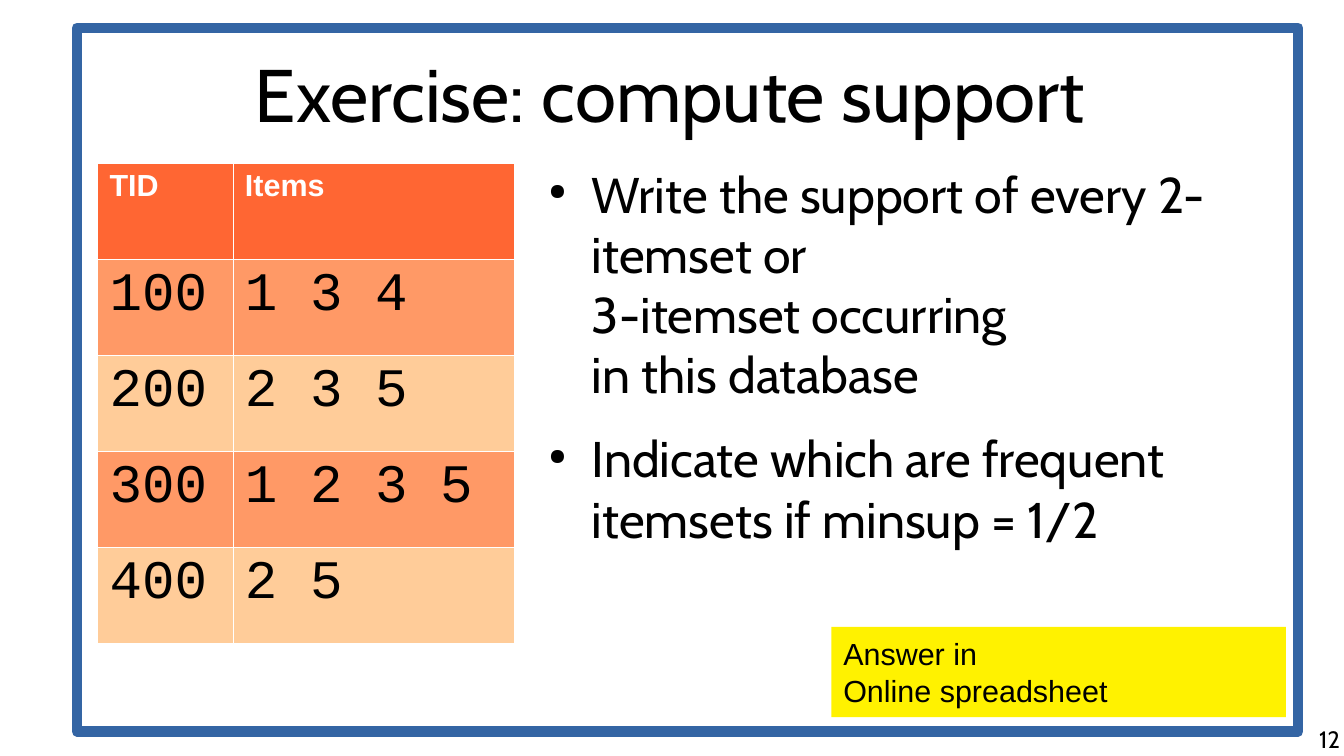
"""Build the slide with the exercise on computing itemset support."""
from lxml.etree import SubElement
from pptx import Presentation
from pptx.dml.color import RGBColor
from pptx.enum.shapes import MSO_SHAPE as SHAPE
from pptx.enum.text import MSO_ANCHOR as ANCHOR, MSO_AUTO_SIZE as AUTO, PP_ALIGN as ALIGN
from pptx.oxml import parse_xml
from pptx.oxml.ns import nsdecls, qn
from pptx.util import Cm, Pt

BLACK = RGBColor(0x00, 0x00, 0x00)
WHITE = RGBColor(0xFF, 0xFF, 0xFF)
BLUE = RGBColor(0x34, 0x65, 0xA4)
YELLOW = RGBColor(0xFF, 0xF2, 0x00)
HEADER = RGBColor(0xFF, 0x66, 0x33)
BANDS = [RGBColor(0xFF, 0xCC, 0x99), RGBColor(0xFF, 0x99, 0x66)]


def write(p, text, font, size, color=BLACK, bold=False):
    for i, line in enumerate(text.split("\n")):
        if i:
            p.add_line_break()
        r = p.add_run()
        r.text = line
        r.font.name, r.font.size, r.font.bold = font, Pt(size), bold
        r.font.color.rgb = color


def setup(tf, anchor=ANCHOR.TOP):
    tf.word_wrap = True
    tf.auto_size = AUTO.NONE
    tf.vertical_anchor = anchor
    tf.margin_left = tf.margin_top = tf.margin_right = tf.margin_bottom = 0


prs = Presentation()
prs.slide_width, prs.slide_height = Cm(28), Cm(15.75)
s = prs.slides.add_slide(prs.slide_layouts[5])

title = s.shapes.title
title.left, title.top, title.width, title.height = Cm(1.4), Cm(0.03), Cm(25.12), Cm(3.79)
setup(title.text_frame, ANCHOR.MIDDLE)
p = title.text_frame.paragraphs[0]
p.alignment = ALIGN.CENTER
write(p, "Exercise: compute support", "Cabin", 44)

tasks = [
    "Write the support of every 2-itemset or\n3-itemset occurring\nin this database",
    "Indicate which are frequent itemsets if minsup = 1/2",
]
tf = s.shapes.add_textbox(Cm(11.13), Cm(3.4), Cm(15.67), Cm(9.04)).text_frame
setup(tf)
for i, task in enumerate(tasks):
    p = tf.add_paragraph() if i else tf.paragraphs[0]
    if i:
        p.space_before = Pt(14.2)
    pPr = p._p.get_or_add_pPr()
    pPr.set("marL", str(Cm(1.2)))
    pPr.set("indent", str(-Cm(0.9)))
    SubElement(SubElement(pPr, qn("a:buClr")), qn("a:srgbClr"), val=str(BLACK))
    SubElement(pPr, qn("a:buSzPct"), val="45000")
    SubElement(pPr, qn("a:buChar"), char="●")
    write(p, task, "Cabin", 29.6)

frame = s.shapes.add_shape(SHAPE.RECTANGLE, Cm(1.6), Cm(0.58), Cm(25.45), Cm(14.66))
frame.shadow.inherit = False
frame.fill.background()
frame.line.color.rgb = BLUE
frame.line.width = Pt(6)
SubElement(frame.line._get_or_add_ln(), qn("a:round"))

rows = [
    ("TID", "Items"),
    ("100", "1 3 4"),
    ("200", "2 3 5"),
    ("300", "1 2 3 5"),
    ("400", "2 5"),
]
table = s.shapes.add_table(len(rows), 2, Cm(2.03), Cm(3.4), Cm(8.69), Cm(10)).table
table.columns[0].width, table.columns[1].width = Cm(2.82), Cm(5.87)
for i, row in enumerate(rows):
    table.rows[i].height = Cm(2)
    for j, text in enumerate(row):
        cell = table.cell(i, j)
        p = cell.text_frame.paragraphs[0]
        if i == 0:
            write(p, text, "Arial", 18, WHITE, True)
        else:
            write(p, text, "Courier New", 32)
        tcPr = cell._tc.get_or_add_tcPr()
        for side in ("lnL", "lnR", "lnT", "lnB"):
            tcPr.append(parse_xml(
                f'<a:{side} {nsdecls("a")} w="720"><a:solidFill>'
                f'<a:srgbClr val="{WHITE}"/></a:solidFill></a:{side}>'))
        cell.fill.solid()
        cell.fill.fore_color.rgb = BANDS[i % 2] if i else HEADER

note = s.shapes.add_shape(SHAPE.RECTANGLE, Cm(17.32), Cm(13.06), Cm(9.47), Cm(1.88))
note.shadow.inherit = False
note.fill.solid()
note.fill.fore_color.rgb = YELLOW
note.line.fill.background()
note.text_frame.word_wrap = True
note.text_frame.vertical_anchor = ANCHOR.MIDDLE
p = note.text_frame.paragraphs[0]
p.alignment = ALIGN.LEFT
write(p, "Answer in\nOnline spreadsheet", "Arial", 18)

tf = s.shapes.add_textbox(Cm(21.39), Cm(15.11), Cm(6.53), Cm(0.64)).text_frame
setup(tf)
p = tf.paragraphs[0]
p.alignment = ALIGN.RIGHT
write(p, "12", "Cabin", 14)

prs.save("out.pptx")
